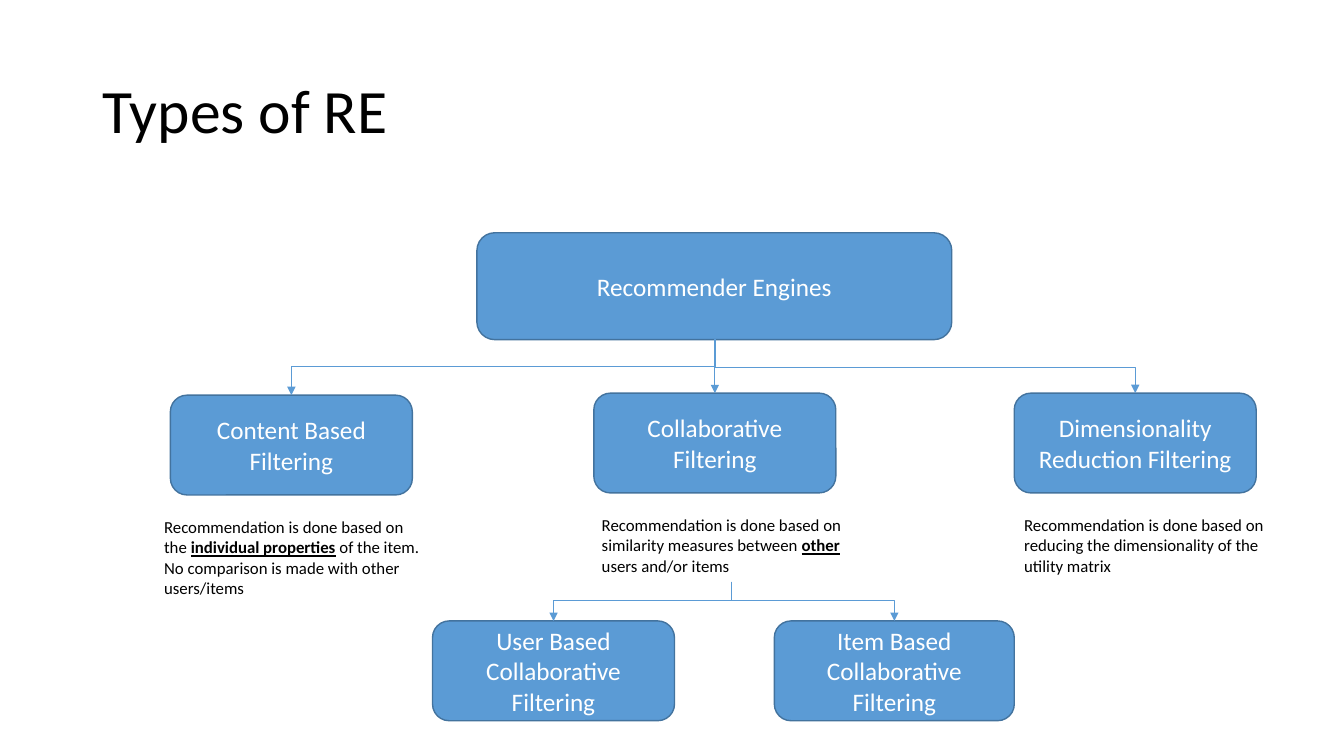
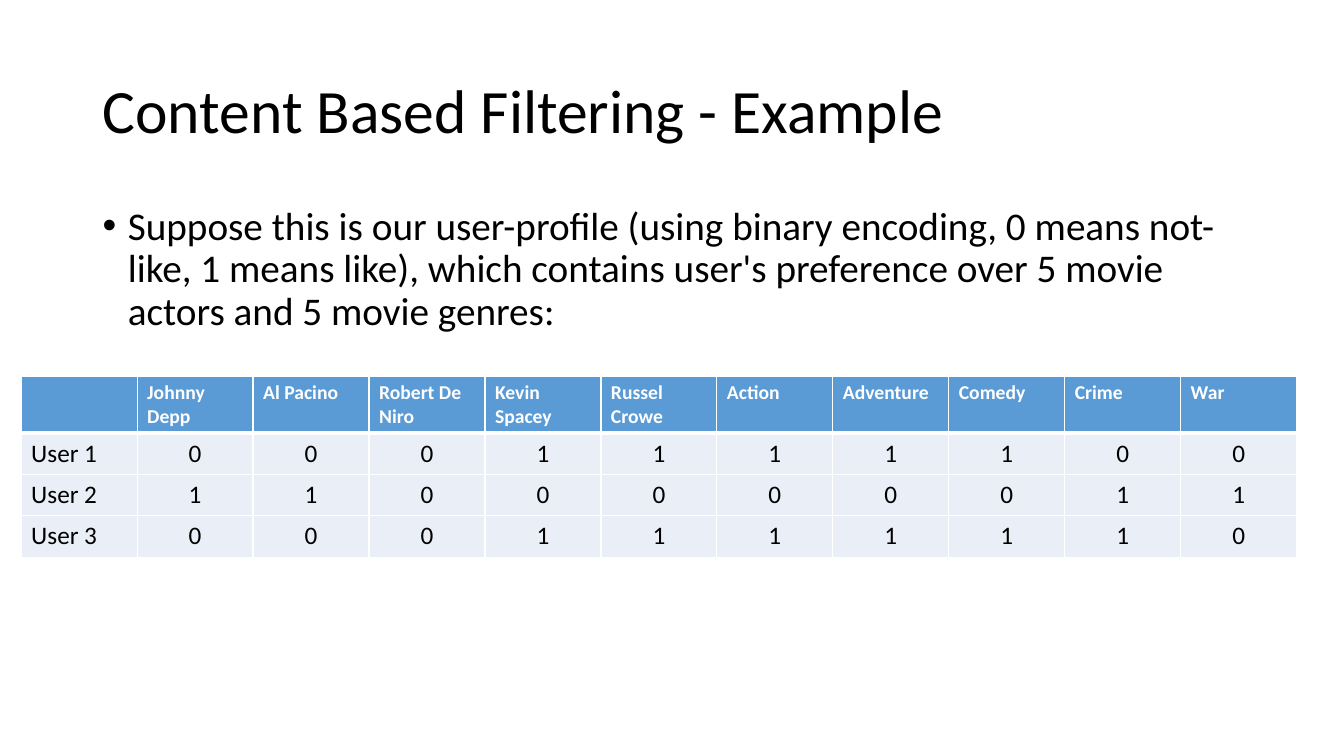
from lxml import etree
from pptx import Presentation
from pptx.dml.color import RGBColor
from pptx.enum.shapes import MSO_CONNECTOR, MSO_SHAPE
from pptx.enum.text import MSO_ANCHOR, PP_ALIGN
from pptx.oxml.ns import qn
from pptx.util import Inches, Pt

CENTER, LEFT = PP_ALIGN.CENTER, PP_ALIGN.LEFT
MIDDLE, TOP = MSO_ANCHOR.MIDDLE, MSO_ANCHOR.TOP
ELBOW, STRAIGHT = MSO_CONNECTOR.ELBOW, MSO_CONNECTOR.STRAIGHT
ROUNDED = MSO_SHAPE.ROUNDED_RECTANGLE

FONT = "Calibri"
COLORS = {
    "text": "000000",
    "white": "FFFFFF",
    "accent": "5B9BD5",
    "outline": "43739E",
    "row": "EAEFF7",
}
TITLE_BOX = (0.92, 0.4, 11.5, 1.45)
BODY_BOX = (0.92, 2, 11.5, 4.76)
NODE_WIDTH, NODE_HEIGHT = 2.4, 0.99
CAPTION_WIDTH, CAPTION_DROP = 2.76, 1.16
EMPHASIS = {"bold": True, "underline": True}

# Each branch: box left and top, caption shift and height, label, caption runs
BRANCHES = [
    (1.69, 3.92, -0.16, 0.91, "Content Based Filtering", [
        ("Recommendation is done based on the ", {}),
        ("individual properties", EMPHASIS),
        (" of the item. No comparison is made with other users/items", {})]),
    (5.89, 3.9, -0.02, 0.71, "Collaborative Filtering", [
        ("Recommendation is done based on similarity measures between ", {}),
        ("other ", EMPHASIS),
        ("users and/or items", {})]),
    (10.06, 3.9, 0, 0.71, "Dimensionality Reduction Filtering", [
        ("Recommendation is done based on reducing the dimensionality "
         "of the utility matrix", {})]),
]
SUBTYPES = [
    (4.29, NODE_WIDTH, "User Based Collaborative Filtering"),
    (7.68, 2.38, "Item Based Collaborative Filtering"),
]
PROFILE_HEADERS = ["", "Johnny Depp", "Al Pacino", "Robert De Niro",
                   "Kevin Spacey", "Russel Crowe", "Action", "Adventure",
                   "Comedy", "Crime", "War"]
PROFILES = [
    ("User 1", "0001111100"),
    ("User 2", "1100000011"),
    ("User 3", "0001111110"),
]


def color(name):
    return RGBColor.from_string(COLORS[name])


def set_attributes(target, values):
    for name, value in values.items():
        setattr(target, name, value)


def write(frame, runs, size, ink="text", anchor=TOP, **paragraph_format):
    """Fill the first paragraph with (text, font values) runs and return it."""
    set_attributes(frame, {"word_wrap": True, "vertical_anchor": anchor})
    paragraph = frame.paragraphs[0]
    set_attributes(paragraph, paragraph_format)
    for text, font_values in runs:
        run = paragraph.add_run()
        run.text = text
        set_attributes(run.font, {"name": FONT, "size": Pt(size), **font_values})
        run.font.color.rgb = color(ink)
    return paragraph


def add_text(slide, box, runs, size, **text_format):
    text_box = slide.shapes.add_textbox(*map(Inches, box))
    return write(text_box.text_frame, runs, size, **text_format)


def add_title(slide, title):
    add_text(slide, TITLE_BOX, [(title, {})], 44, anchor=MIDDLE, line_spacing=0.9)


def add_bullet(slide, box, text):
    paragraph = add_text(slide, box, [(text, {})], 28,
                         line_spacing=0.9, space_before=Pt(10))
    properties = paragraph._p.get_or_add_pPr()
    properties.set("marL", str(Inches(0.25)))
    properties.set("indent", str(Inches(-0.25)))
    font = etree.SubElement(properties, qn("a:buFont"))
    font.set("typeface", "Arial")
    etree.SubElement(properties, qn("a:buChar")).set("char", "•")


def add_node(slide, box, label):
    node = slide.shapes.add_shape(ROUNDED, *map(Inches, box))
    node.shadow.inherit = False
    node.fill.solid()
    node.fill.fore_color.rgb = color("accent")
    node.line.color.rgb = color("outline")
    node.line.width = Pt(1)
    write(node.text_frame, [(label, {})], 18, "white", MIDDLE, alignment=CENTER)


def add_arrow(slide, start, end, bus_y):
    """Lead an arrow down from start, along bus_y, and down to end."""
    (x1, y1), (x2, y2) = start, end
    width, height = x2 - x1, y2 - y1
    if width == 0:
        kind, ends = STRAIGHT, (x1, y1, x2, y2)
    else:
        # The preset elbow runs sideways, so it is laid out flat and turned.
        kind = ELBOW
        middle_x, middle_y = (x1 + x2) / 2, (y1 + y2) / 2
        half_run = height / 2 if width < 0 else -height / 2
        half_rise = abs(width) / 2
        ends = (middle_x - half_run, middle_y - half_rise,
                middle_x + half_run, middle_y + half_rise)
    connector = slide.shapes.add_connector(kind, *map(Inches, ends))
    connector.line.color.rgb = color("accent")
    connector.line.width = Pt(0.5)
    properties = connector._element.spPr
    if kind == ELBOW:
        quarter_turns = 1 if width < 0 else 3
        properties.find(qn("a:xfrm")).set("rot", str(quarter_turns * 5400000))
        adjustments = properties.find(qn("a:prstGeom")).find(qn("a:avLst"))
        guide = etree.SubElement(adjustments, qn("a:gd"))
        guide.set("name", "adj1")
        guide.set("fmla", f"val {round((bus_y - y1) / height * 100000)}")
    line = properties.find(qn("a:ln"))
    etree.SubElement(line, qn("a:tailEnd")).set("type", "triangle")
    etree.SubElement(properties, qn("a:effectLst"))


def add_branch(slide, branch):
    left, top, shift, caption_height, label, caption = branch
    add_node(slide, (left, top, NODE_WIDTH, NODE_HEIGHT), label)
    caption_box = (left + shift, top + CAPTION_DROP, CAPTION_WIDTH, caption_height)
    add_text(slide, caption_box, caption, 12)


def set_borders(cell, top, bottom):
    properties = cell._tc.get_or_add_tcPr()
    for side, width in (("L", 1), ("R", 1), ("T", top), ("B", bottom)):
        line = etree.SubElement(properties, qn(f"a:ln{side}"))
        line.set("w", str(Pt(width)))
        fill = etree.SubElement(line, qn("a:solidFill"))
        etree.SubElement(fill, qn("a:srgbClr")).set("val", COLORS["white"])


def add_profile_table(slide, left, top, column_width, header_height, row_height):
    rows = [PROFILE_HEADERS] + [[user, *likes] for user, likes in PROFILES]
    heights = [header_height] + [row_height] * len(PROFILES)
    box = (left, top, column_width * len(PROFILE_HEADERS), sum(heights))
    table = slide.shapes.add_table(
        len(rows), len(PROFILE_HEADERS), *map(Inches, box)).table
    table.horz_banding = False
    for column in table.columns:
        column.width = Inches(column_width)
    for row_index, (values, height) in enumerate(zip(rows, heights)):
        table.rows[row_index].height = Inches(height)
        header = row_index == 0
        size, ink, fill = (14, "white", "accent") if header else (18, "text", "row")
        for column_index, value in enumerate(values):
            cell = table.cell(row_index, column_index)
            set_borders(cell, 3 if row_index == 1 else 1, 3 if header else 1)
            cell.fill.solid()
            cell.fill.fore_color.rgb = color(fill)
            centered = not header and column_index > 0
            runs = [(value, {"bold": header})] if value else []
            write(cell.text_frame, runs, size, ink,
                  alignment=CENTER if centered else LEFT)


def build_types_slide(slide):
    add_title(slide, "Types of RE")
    add_node(slide, (4.73, 2.31, 4.71, 1.06), "Recommender Engines")
    for branch in BRANCHES:
        add_branch(slide, branch)
        left, top = branch[:2]
        add_arrow(slide, (7.09, 3.36), (left + NODE_WIDTH / 2, top), 3.64)
    for left, width, label in SUBTYPES:
        add_node(slide, (left, 6.16, width, NODE_HEIGHT), label)
        add_arrow(slide, (7.25, 5.77), (left + width / 2, 6.16), 5.96)


def build_example_slide(slide):
    add_title(slide, "Content Based Filtering - Example")
    add_bullet(slide, BODY_BOX,
               "Suppose this is our user-profile (using binary encoding, "
               "0 means not-like, 1 means like), which contains user's "
               "preference over 5 movie actors and 5 movie genres:")
    add_profile_table(slide, 0.21, 3.73, 1.15, 0.55, 0.41)


def main():
    presentation = Presentation()
    presentation.slide_width = Inches(13.33)
    presentation.slide_height = Inches(7.5)
    blank = presentation.slide_layouts[6]
    for build in (build_types_slide, build_example_slide):
        build(presentation.slides.add_slide(blank))
    presentation.save("out.pptx")


if __name__ == "__main__":
    main()
